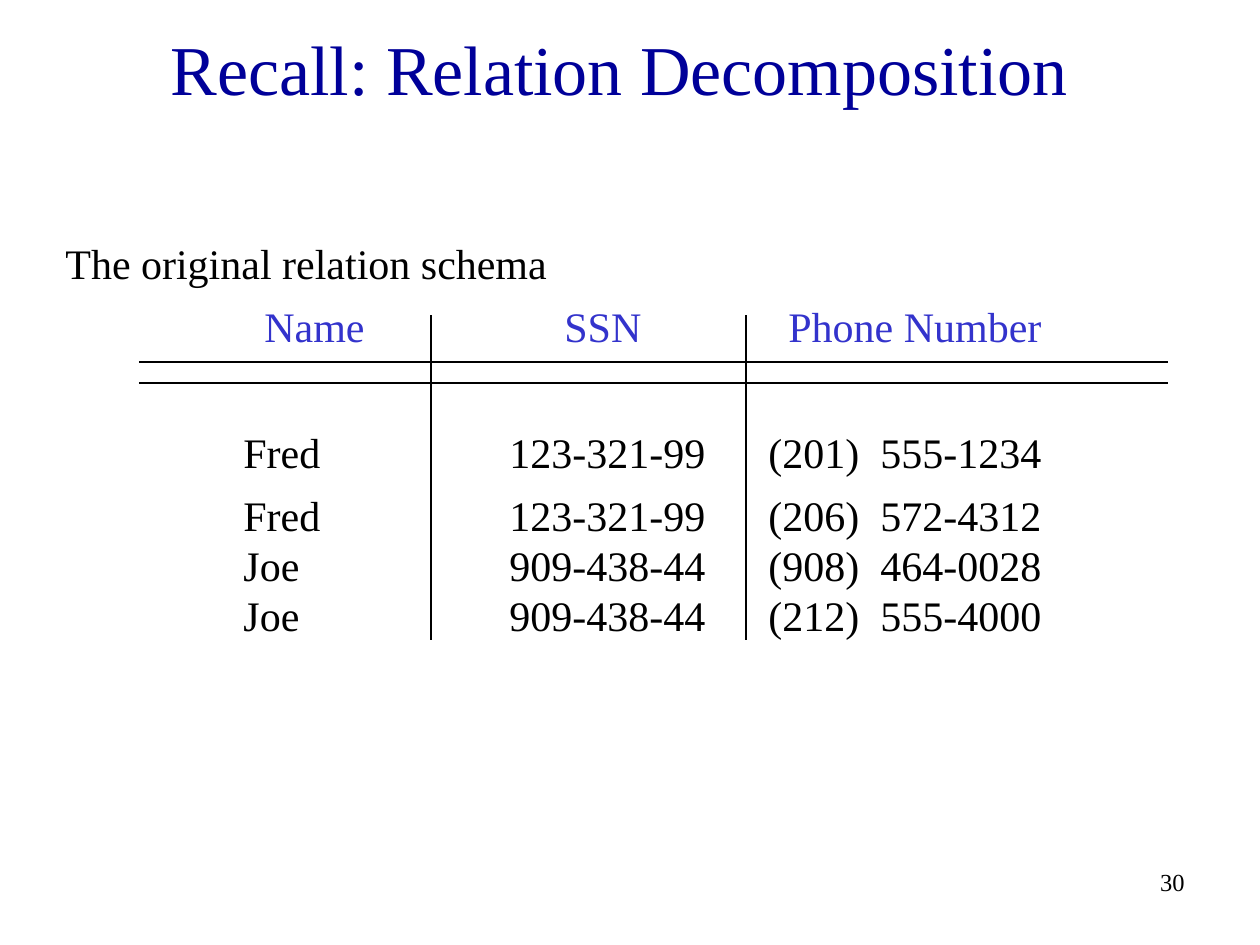
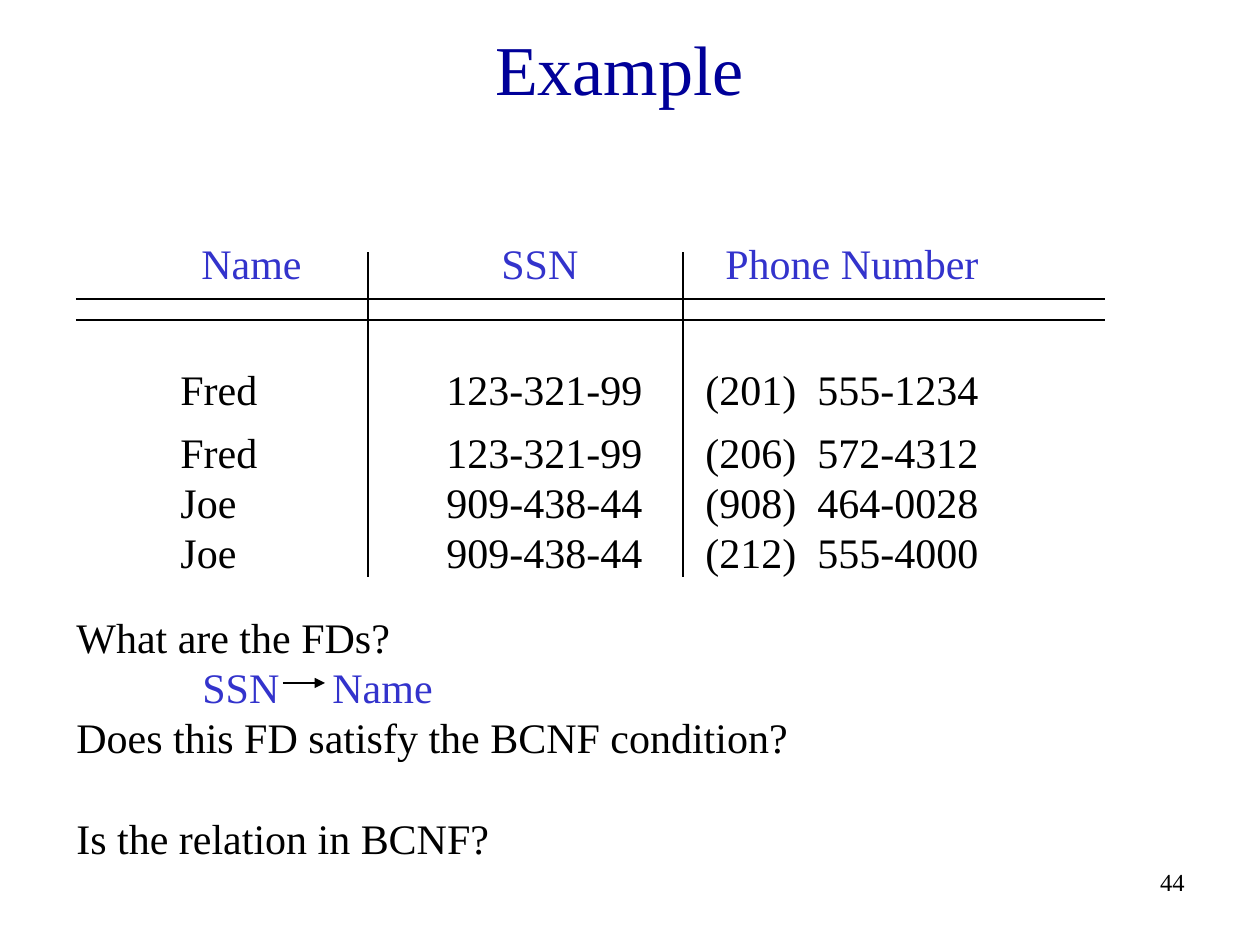
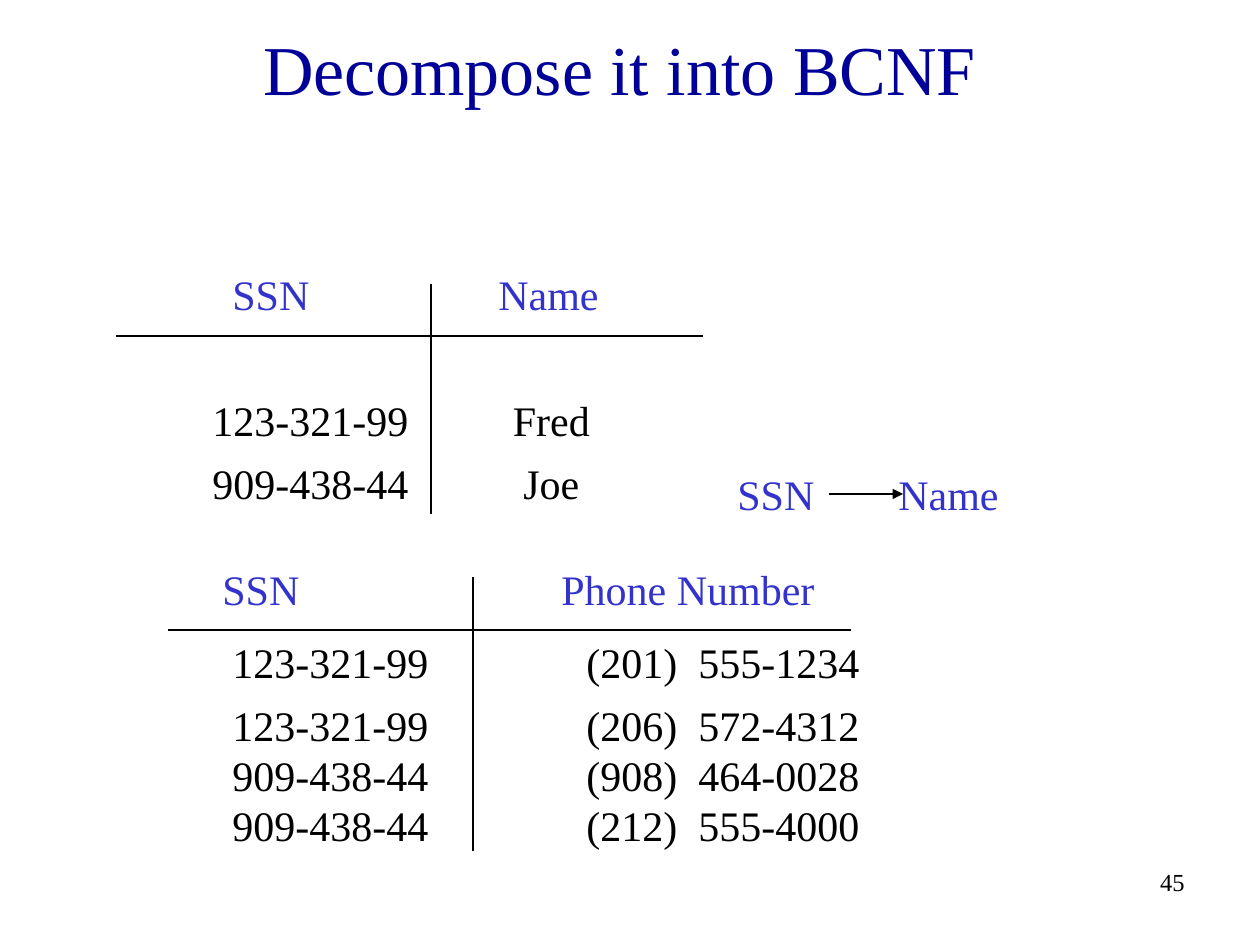
from dataclasses import dataclass

from lxml.etree import SubElement
from pptx import Presentation
from pptx.dml.color import RGBColor
from pptx.enum.shapes import MSO_CONNECTOR
from pptx.enum.text import MSO_ANCHOR, PP_ALIGN
from pptx.oxml.ns import qn
from pptx.util import Emu, Pt

EMU_PER_PX = 914400 / 126


@dataclass(frozen=True)
class Theme:
    """Fonts, colours and type sizes of the deck."""
    font: str = "Times New Roman"
    title: RGBColor = RGBColor(0x00, 0x00, 0x99)
    accent: RGBColor = RGBColor(0x33, 0x33, 0xCC)
    ink: RGBColor = RGBColor(0x00, 0x00, 0x00)
    title_size: int = 40
    text_size: int = 24
    number_size: int = 14
    leading: float = 1.2
    rule_width: float = 0.75


THEME = Theme()
PHONES = ["(201)\t555-1234", "(206)\t572-4312", "(908)\t464-0028", "(212)\t555-4000"]
NUMBERS = ["123-321-99", "123-321-99", "909-438-44", "909-438-44"]
NAMES = ["Fred", "Fred", "Joe", "Joe"]


def px(length):
    """Turn whole pixels into EMU."""
    return Emu(round(length * EMU_PER_PX))


def write(frame, text, *, size=THEME.text_size, color=THEME.ink, align=PP_ALIGN.LEFT,
          tabs=(), tab_align="l", space_before=0):
    """Add one formatted paragraph to a text frame."""
    para = frame.paragraphs[0]
    if para.runs:
        para = frame.add_paragraph()
    if tabs:
        tab_list = SubElement(para._p.get_or_add_pPr(), qn("a:tabLst"))
        for stop in tabs:
            SubElement(tab_list, qn("a:tab"), pos=str(px(stop)), algn=tab_align)
    para.alignment = align
    para.line_spacing = Pt(size * THEME.leading)
    para.space_before = Pt(space_before)
    span = para.add_run()
    span.text = text
    span.font.name = THEME.font
    span.font.size = Pt(size)
    span.font.color.rgb = color


def add_box(page, left, top, width, height=63):
    """Add a wrapping text box and return its text frame."""
    frame = page.shapes.add_textbox(px(left), px(top), px(width), px(height)).text_frame
    frame.word_wrap = True
    return frame


def add_rule(page, x1, y1, x2, y2, arrow=False):
    """Draw a thin straight line, with an arrowhead at its end if asked."""
    rule = page.shapes.add_connector(MSO_CONNECTOR.STRAIGHT, px(x1), px(y1), px(x2), px(y2))
    rule.line.color.rgb = THEME.ink
    rule.line.width = Pt(THEME.rule_width)
    if arrow:
        SubElement(rule.line._get_or_add_ln(), qn("a:tailEnd"), type="triangle")
    SubElement(rule._element.spPr, qn("a:effectLst"))


def add_page(deck, title, number):
    """Add a slide with its title and slide number."""
    page = deck.slides.add_slide(deck.slide_layouts[5])
    heading = page.shapes.title
    heading.left, heading.top, heading.width, heading.height = map(px, (21, 21, 1197, 94))
    heading.text_frame.vertical_anchor = MSO_ANCHOR.MIDDLE
    write(heading.text_frame, title, size=THEME.title_size, color=THEME.title,
          align=PP_ALIGN.CENTER)
    write(add_box(page, 935, 861, 262), str(number), size=THEME.number_size,
          align=PP_ALIGN.RIGHT)
    return page


def add_header(page, left, top, width, text, tabs):
    """Write the attribute names of a relation."""
    write(add_box(page, left, top, width), text, color=THEME.accent, tabs=tabs)


def add_rows(page, left, top, width, columns, **tab_format):
    """Write the first tuple of a relation, then the others in a box below."""
    rows = ["\t".join(row) for row in zip(*columns)]
    write(add_box(page, left, top, width), rows[0], **tab_format)
    others = add_box(page, left, top + 63, width, 13 + 50 * len(rows[1:]))
    for row in rows[1:]:
        write(others, row, **tab_format)


def add_person_relation(page, left, top):
    """Draw the relation of names, SSNs and phone numbers."""
    for offset in (68, 89):
        add_rule(page, left - 92, top + offset, left + 937, top + offset)
    for offset in (200, 515):
        add_rule(page, left + offset, top + 21, left + offset, top + 346)
    add_header(page, left + 21, top, 823, "Name\tSSN\tPhone Number", (300, 524))
    add_rows(page, left, top + 126, 823, (NAMES, NUMBERS, PHONES), tabs=(266, 525, 637))


def add_recall_page(deck):
    """Show the relation before decomposition."""
    page = add_page(deck, "Recall: Relation Decomposition", 30)
    write(add_box(page, 53, 231, 520), "The original relation schema")
    add_person_relation(page, 231, 294)


def add_example_page(deck):
    """Ask about the dependencies of the relation."""
    page = add_page(deck, "Example", 44)
    add_person_relation(page, 168, 231)
    questions = add_box(page, 64, 605, 760, 265)
    write(questions, "What are the FDs?")
    write(questions, "\tSSN\tName", color=THEME.accent, tabs=(126, 256))
    write(questions, "Does this FD satisfy the BCNF condition?")
    write(questions, "Is the relation in BCNF?", space_before=THEME.text_size * THEME.leading)
    add_rule(page, 283, 683, 325, 683, arrow=True)


def add_decomposition_page(deck):
    """Show the two relations after decomposition."""
    page = add_page(deck, "Decompose it into BCNF", 45)
    add_header(page, 220, 262, 400, "SSN\tName", (266,))
    add_rows(page, 200, 388, 403, (NUMBERS[1:3], NAMES[1:3]), tabs=(339,), tab_align="ctr")
    add_rule(page, 116, 336, 703, 336)
    add_rule(page, 431, 284, 431, 514)

    add_header(page, 210, 557, 630, "SSN\tPhone Number", (339,))
    add_rows(page, 220, 630, 823, (NUMBERS, PHONES), tabs=(354, 466))
    add_rule(page, 168, 630, 851, 630)
    add_rule(page, 473, 577, 473, 851)

    add_header(page, 725, 462, 300, "SSN\tName", (161,))
    add_rule(page, 829, 494, 903, 494, arrow=True)


def main():
    """Build and save the deck."""
    deck = Presentation()
    deck.slide_width, deck.slide_height = px(1260), px(945)
    add_recall_page(deck)
    add_example_page(deck)
    add_decomposition_page(deck)
    deck.save("out.pptx")


if __name__ == "__main__":
    main()
